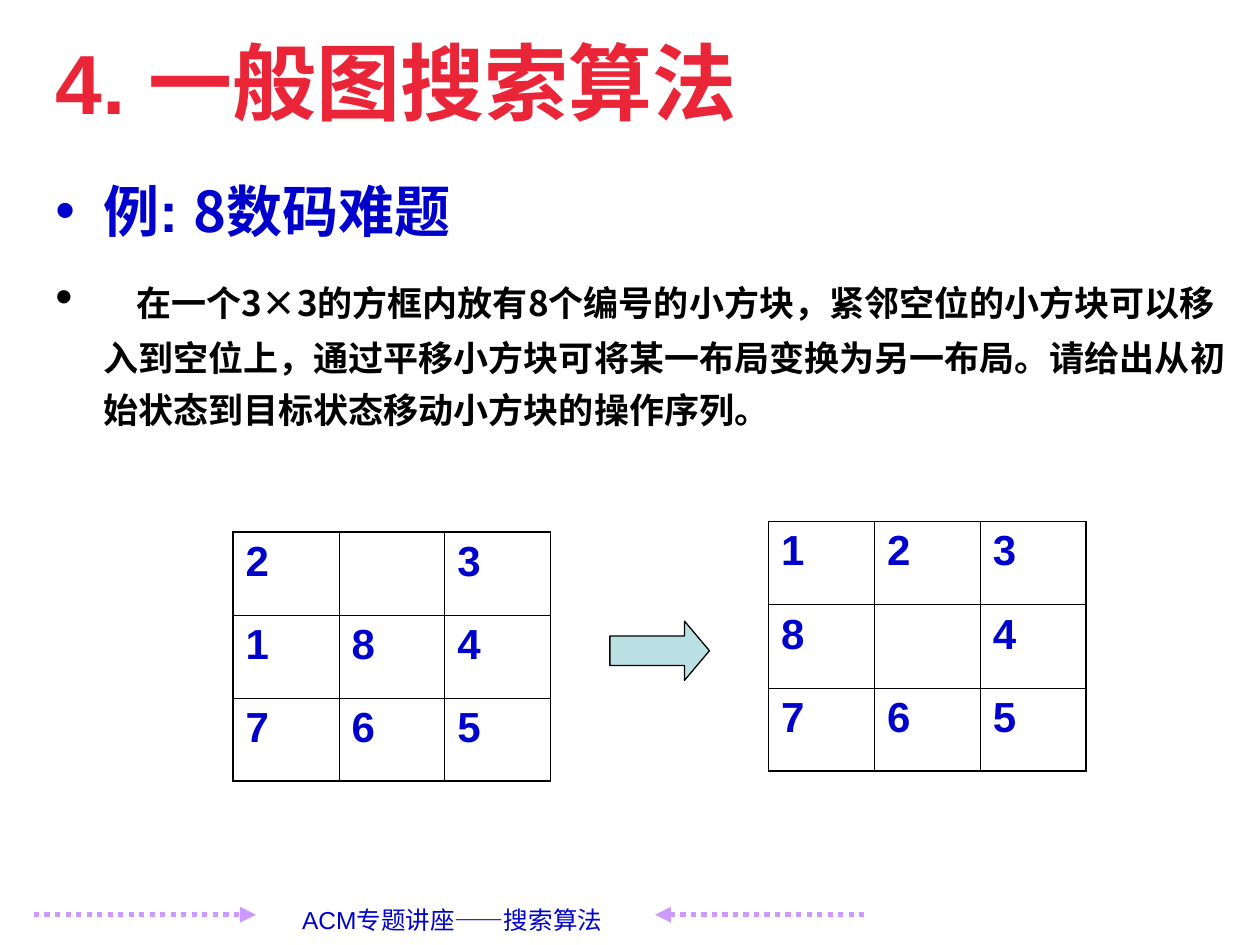
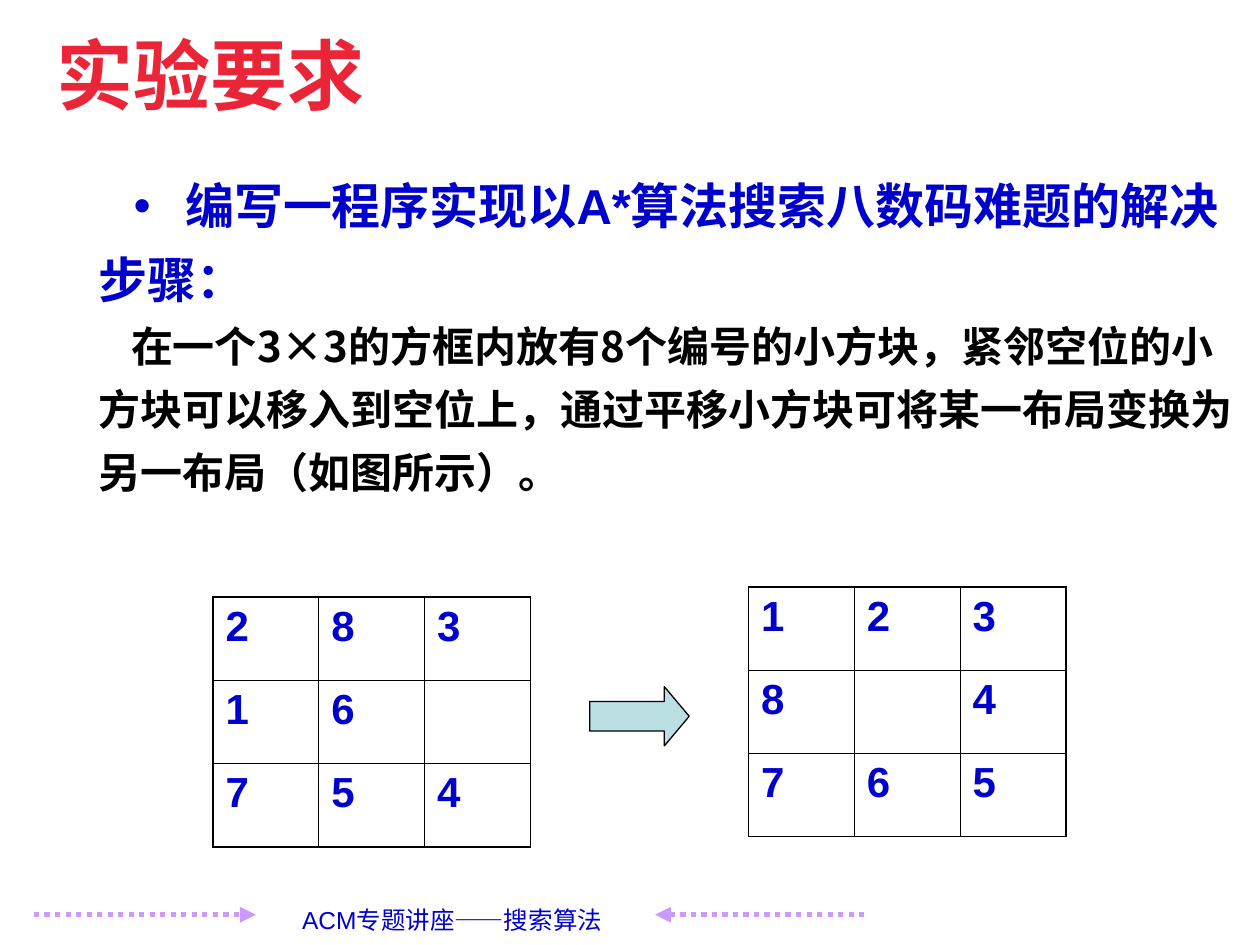
import pptx
import pptx.util
import pptx.dml.color
import pptx.enum.dml
import pptx.enum.shapes
import pptx.enum.text
import pptx.oxml
import pptx.oxml.ns
import lxml.etree

Inches = pptx.util.Inches
Pt = pptx.util.Pt
qn = pptx.oxml.ns.qn
COLORS = {"title": "EB2538", "blue": "0000CC", "black": "000000",
          "arrow": "BBE0E3", "footer": "CC99FF"}
LATIN = "Arial"
CHINESE = "Noto Sans CJK SC"
CELL_WIDTH, CELL_HEIGHT = 0.84, 0.66
GOAL = ["123", "8 4", "765"]

PAGES = [
    {
        "title": "4. 一般图搜索算法", "title_size": 48, "title_box": (0.34, 0.2, 8.96, 0.88),
        "body_box": (0.26, 1.27, 9.74, 5.77),
        "body": [
            {"margin": 0.46, "indent": -0.38, "lines": 1.15, "before": 2, "color": "blue",
             "spans": [("例: ", 32, LATIN), ("8数码难题", 32, CHINESE)]},
            {"margin": 0.46, "indent": -0.38, "lines": 1.25, "before": 5, "color": "black",
             "tab": 0.72,
             "spans": [("\t", 28, CHINESE),
                       ("在一个3×3的方框内放有8个编号的小方块，紧邻空位的小方块可以移入到空位上，"
                        "通过平移小方块可将某一布局变换为另一布局。"
                        "请给出从初始状态到目标状态移动小方块的操作序列。", 20, CHINESE)]},
        ],
        "boards": [(1.85, 4.22, ["2 3", "184", "765"]), (6.1, 4.14, GOAL)],
        "arrow": (4.84, 4.93),
    },
    {
        "title": "实验要求", "title_size": 44, "title_box": (0.35, 0.13, 8.2, 0.91),
        "body_box": (0.21, 1.23, 9.79, 5.73),
        "body": [
            {"margin": 0.47, "indent": 0.28, "lines": 1.25, "before": 6, "color": "blue",
             "tab": 1.16,
             "spans": [("\t编写一程序实现以A*算法搜索八数码难题的解决步骤：", 28, LATIN)]},
            {"margin": 0.47, "indent": 0.26, "lines": 1.25, "before": 0, "color": "black",
             "plain": True,
             "spans": [("在一个3×3的方框内放有8个编号的小方块，紧邻空位的小方块可以移入到空位上，"
                        "通过平移小方块可将某一布局变换为另一布局（如图所示）。", 24, CHINESE)]},
        ],
        "boards": [(1.69, 4.74, ["283", "16 ", "754"]), (5.94, 4.66, GOAL)],
        "arrow": (4.68, 5.45),
    },
]


def rgb(name):
    return pptx.dml.color.RGBColor.from_string(COLORS[name])


def style(font, size, color, bold=True, name=LATIN):
    font.size = Pt(size)
    font.bold = bold
    font.name = name
    font.color.rgb = rgb(color)


deck = pptx.Presentation()
deck.slide_width, deck.slide_height = Inches(10), Inches(7.5)
master = deck.slide_master
for typeface in master.element.iter(qn("a:ea")):
    typeface.set("typeface", CHINESE)

for number, content in enumerate(PAGES):
    page = deck.slides.add_slide(deck.slide_layouts[1])

    if number == 0:
        for start, end in [(0.27, 2.03), (6.86, 5.2)]:
            line = page.shapes.add_connector(
                pptx.enum.shapes.MSO_CONNECTOR.STRAIGHT,
                Inches(start), Inches(7.26), Inches(end), Inches(7.26))
            line.line.color.rgb = rgb("footer")
            line.line.width = Pt(3)
            line.line.dash_style = pptx.enum.dml.MSO_LINE.ROUND_DOT
            outline = line.line._get_or_add_ln()
            lxml.etree.SubElement(outline, qn("a:tailEnd"), type="triangle")
            lxml.etree.SubElement(line.element.spPr, qn("a:effectLst"))
            master.shapes.element.append(line.element)
        footer = page.shapes.add_textbox(Inches(2.18), Inches(7.13), Inches(2.98), Inches(0.34))
        footer.text_frame.word_wrap = True
        footer.text_frame.margin_right = Inches(0.26)
        para = footer.text_frame.paragraphs[0]
        para.text = "ACM专题讲座——搜索算法"
        para.alignment = pptx.enum.text.PP_ALIGN.CENTER
        para.space_before = Pt(8.8)
        style(para.font, 14, "blue", bold=False)
        master.shapes.element.append(footer.element)

    title, body = page.shapes.title, page.placeholders[1]
    for box, place in [(title, content["title_box"]), (body, content["body_box"])]:
        box.left, box.top, box.width, box.height = map(Inches, place)
        box.text_frame.auto_size = pptx.enum.text.MSO_AUTO_SIZE.NONE
    title.text_frame.vertical_anchor = pptx.enum.text.MSO_ANCHOR.MIDDLE
    para = title.text_frame.paragraphs[0]
    para.text = content["title"]
    para.alignment = pptx.enum.text.PP_ALIGN.LEFT
    style(para.font, content["title_size"], "title")

    for index, item in enumerate(content["body"]):
        para = body.text_frame.add_paragraph() if index else body.text_frame.paragraphs[0]
        para.line_spacing = item["lines"]
        para.space_before = Pt(item["before"])
        settings = para._p.get_or_add_pPr()
        settings.set("marL", str(Inches(item["margin"])))
        settings.set("indent", str(Inches(item["indent"])))
        if item.get("plain"):
            lxml.etree.SubElement(settings, qn("a:buNone"))
        if "tab" in item:
            tabs = lxml.etree.SubElement(settings, qn("a:tabLst"))
            lxml.etree.SubElement(tabs, qn("a:tab"), pos=str(Inches(item["tab"])), algn="l")
        for text, size, name in item["spans"]:
            span = para.add_run()
            span.text = text
            style(span.font, size, item["color"], name=name)

    for left, top, rows in content["boards"]:
        frame = page.shapes.add_table(3, 3, Inches(left), Inches(top),
                                      Inches(3 * CELL_WIDTH), Inches(3 * CELL_HEIGHT))
        board = frame.table
        board.first_row = board.horz_banding = False
        for row, digits in enumerate(rows):
            board.rows[row].height = Inches(CELL_HEIGHT)
            board.columns[row].width = Inches(CELL_WIDTH)
            for column, digit in enumerate(digits):
                cell = board.cell(row, column)
                para = cell.text_frame.paragraphs[0]
                para.text = digit.strip()
                para.space_before = Pt(6)
                style(para.font, 24, "blue")
                borders = cell._tc.get_or_add_tcPr()
                outer = {"L": column == 0, "R": column == 2, "T": row == 0, "B": row == 2}
                for side, is_outer in outer.items():
                    border = lxml.etree.SubElement(borders, qn("a:ln" + side),
                                                   w=str(Pt(1.08 if is_outer else 0.45)))
                    fill = lxml.etree.SubElement(border, qn("a:solidFill"))
                    lxml.etree.SubElement(fill, qn("a:srgbClr"), val=COLORS["black"])
                cell.fill.background()

    left, top = content["arrow"]
    arrow = page.shapes.add_shape(pptx.enum.shapes.MSO_SHAPE.RIGHT_ARROW,
                                  Inches(left), Inches(top), Inches(0.79), Inches(0.47))
    arrow.adjustments[1] = 0.42
    arrow.shadow.inherit = False
    arrow.fill.solid()
    arrow.fill.fore_color.rgb = rgb("arrow")
    arrow.line.color.rgb = rgb("black")
    arrow.line.width = Pt(0.75)

deck.save("out.pptx")
